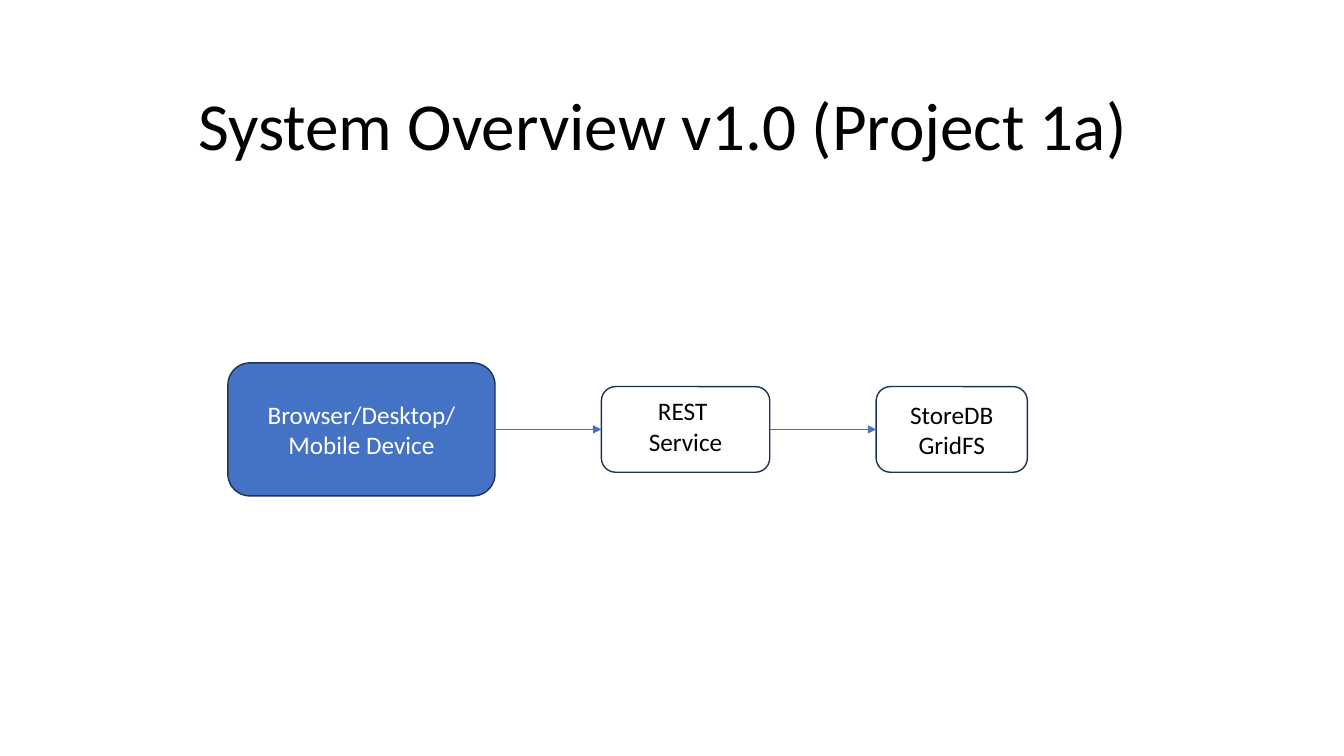
"""Build the system overview slide: three boxes joined by arrows."""
from itertools import pairwise
from pptx import Presentation
from pptx.dml.color import RGBColor
from pptx.enum.shapes import MSO_CONNECTOR, MSO_SHAPE
from pptx.enum.text import MSO_ANCHOR, PP_ALIGN
from pptx.oxml.ns import qn
from pptx.util import Inches, Pt
from lxml import etree

ROUND, LINE = MSO_SHAPE.ROUNDED_RECTANGLE, MSO_CONNECTOR.STRAIGHT
TOP, MID, LOW = MSO_ANCHOR.TOP, MSO_ANCHOR.MIDDLE, MSO_ANCHOR.BOTTOM
CENTER = PP_ALIGN.CENTER
LEFT_SITE, RIGHT_SITE = 1, 3

FONT = "Calibri"
BLACK, WHITE, BLUE, NAVY = "000000", "FFFFFF", "4472C4", "1E3256"
TITLE = "System Overview v1.0 (Project 1a)"
BOXES = [
    (("Browser/Desktop/", "Mobile Device"), 2.65, 1.32, BLUE, WHITE, MID),
    (("REST ", "Service"), 1.67, 0.85, WHITE, BLACK, TOP),
    (("StoreDB", "GridFS"), 1.5, 0.85, WHITE, BLACK, MID),
]
START, AXIS, GAP = 2.26, 4.26, 1.055


def color(code):
    return RGBColor.from_string(code)


def write(frame, lines, size, ink, anchor):
    frame.word_wrap = True
    frame.vertical_anchor = anchor
    for i, line in enumerate(lines):
        para = frame.add_paragraph() if i else frame.paragraphs[0]
        para.alignment = CENTER
        run = para.add_run()
        run.text = line
        run.font.name, run.font.size = FONT, Pt(size)
        run.font.color.rgb = color(ink)


def add_box(left, lines, width, height, fill, ink, anchor):
    box = slide.shapes.add_shape(ROUND, Inches(left), Inches(AXIS - height / 2),
                                 Inches(width), Inches(height))
    box.shadow.inherit = False
    box.fill.solid()
    box.fill.fore_color.rgb = color(fill)
    box.line.color.rgb, box.line.width = color(NAVY), Pt(1)
    write(box.text_frame, lines, 18, ink, anchor)
    return box


def add_arrow(start, end):
    arrow = slide.shapes.add_connector(LINE, 0, 0, 0, 0)
    arrow.begin_connect(start, RIGHT_SITE)
    arrow.end_connect(end, LEFT_SITE)
    arrow.line.color.rgb, arrow.line.width = color(BLUE), Pt(0.5)
    etree.SubElement(arrow.line._get_or_add_ln(), qn("a:tailEnd"), type="triangle")
    etree.SubElement(arrow._element.spPr, qn("a:effectLst"))


deck = Presentation()
deck.slide_width, deck.slide_height = Inches(13.33), Inches(7.5)
slide = deck.slides.add_slide(deck.slide_layouts[0])
sub = slide.placeholders[1]._element
sub.getparent().remove(sub)

title = slide.shapes.title
title.left, title.top = Inches(1.63), Inches(0.65)
title.width, title.height = Inches(9.89), Inches(1.04)
write(title.text_frame, [TITLE], 48, BLACK, LOW)
title.text_frame.paragraphs[0].line_spacing = 0.9

boxes, left = [], START
for spec in BOXES:
    boxes.append(add_box(left, *spec))
    left += spec[1] + GAP
for pair in pairwise(boxes):
    add_arrow(*pair)

deck.save("out.pptx")
